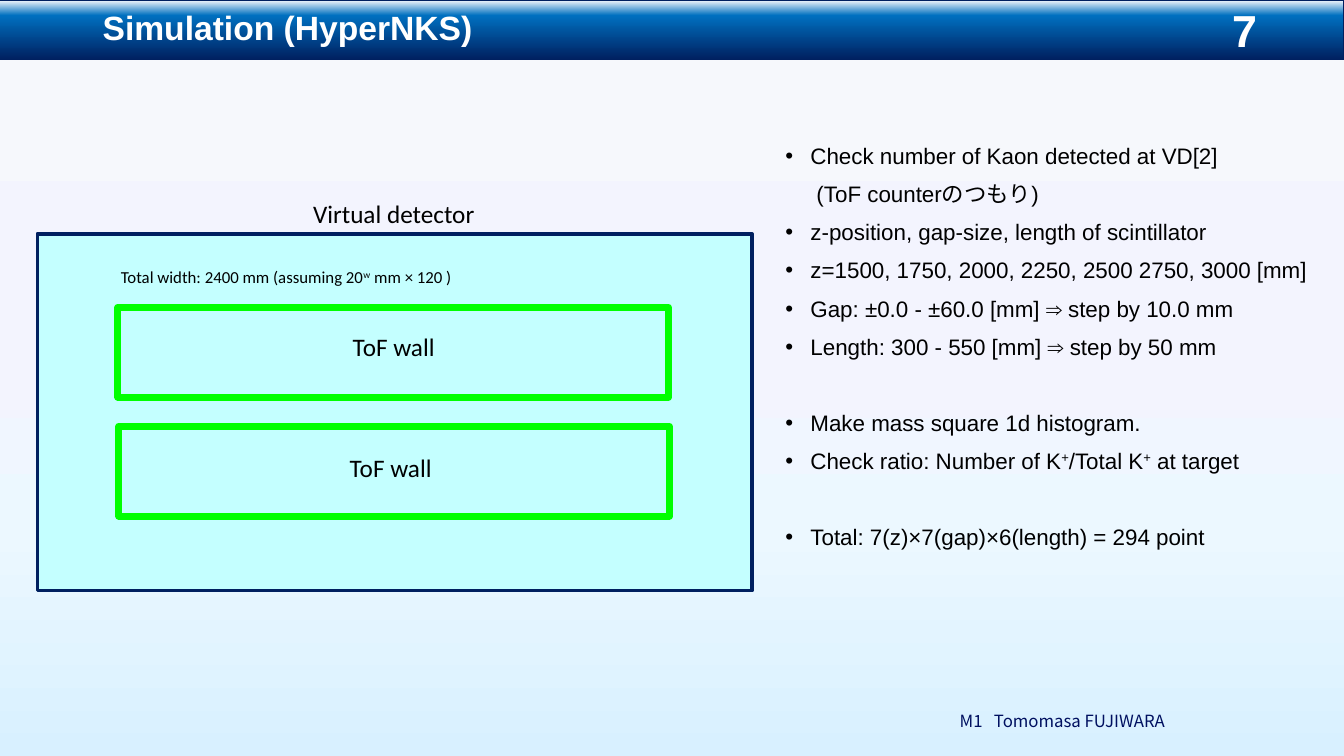
from lxml.etree import SubElement
from pptx import Presentation
from pptx.dml.color import RGBColor
from pptx.enum.shapes import MSO_SHAPE
from pptx.enum.text import MSO_ANCHOR as ANCHOR, PP_ALIGN as ALIGN
from pptx.oxml.ns import qn
from pptx.util import Inches, Pt

WIDTH, HEIGHT, BAR = 13.33, 7.5, 0.59
NAVY = "002060"
SKY = [(0, "F6F8FC"), (48, "F3F4FE"), (70, "ECF8FF"), (100, "D8F0FF")]
BLUES = [(0, "F6F8FC"), (26, "0070C0"), (100, NAVY)]

# Text between carets is superscript.
# Each point: text, bulleted, space before in points
POINTS = [
    ("Check number of Kaon detected at VD[2]", True, 0),
    ("(ToF counterのつもり)", False, 10),
    ("z-position, gap-size, length of scintillator", True, 10),
    ("z=1500, 1750, 2000, 2250, 2500 2750, 3000 [mm]", True, 10),
    ("Gap: ±0.0 - ±60.0 [mm] ⇒ step by 10.0 mm", True, 10),
    ("Length: 300 - 550 [mm] ⇒ step by 50 mm", True, 10),
    ("Make mass square 1d histogram.", True, 37),
    ("Check ratio: Number of K^+^/Total K^+^ at target", True, 10),
    ("Total: 7(z)×7(gap)×6(length) = 294 point", True, 37),
]
# Each box: place, fill, line colour, line width
BOXES = [
    ((0.37, 2.32, 7.09, 3.54), "C4FFFF", NAVY, 2.5),
    ((1.17, 3.05, 5.46, 0.89), None, "00FF00", 5),
    ((1.18, 4.23, 5.46, 0.89), None, "00FF00", 5),
]
# Each label: text, place, size, alignment
LABELS = [
    ("Virtual detector", (2.93, 1.92, 1.95, 0.4), 18, ALIGN.CENTER),
    ("ToF wall", (2.93, 3.24, 1.95, 0.4), 18, ALIGN.CENTER),
    ("Total width: 2400 mm (assuming 20^w^ mm × 120 )",
     (1.1, 2.6, 5.53, 0.3), 12, ALIGN.LEFT),
    ("ToF wall", (2.9, 4.44, 1.95, 0.4), 18, ALIGN.CENTER),
]


def color(code):
    return RGBColor.from_string(code)


def shade(fill, root, stops):
    """Fill from top to bottom through the given stops."""
    fill.gradient()
    fill.gradient_angle = 270
    group = next(root.iter(qn("a:gsLst")))
    for old in list(group):
        group.remove(old)
    for pos, code in stops:
        stop = SubElement(group, qn("a:gs"), pos=str(pos * 1000))
        SubElement(stop, qn("a:srgbClr"), val=code)


def add_rect(place, line, width):
    rect = slide.shapes.add_shape(MSO_SHAPE.RECTANGLE, *map(Inches, place))
    rect.shadow.inherit = False
    rect.line.color.rgb = color(line)
    rect.line.width = Pt(width)
    return rect


def add_frame(place, anchor=ANCHOR.TOP):
    frame = slide.shapes.add_textbox(*map(Inches, place)).text_frame
    frame.word_wrap = True
    frame.vertical_anchor = anchor
    return frame


def write(para, text, size, face="Arial", code="000000", bold=False):
    for i, part in enumerate(text.split("^")):
        run = para.add_run()
        run.text = part
        font = run.font
        font.size, font.name, font.bold = Pt(size), face, bold
        font.color.rgb = color(code)
        if i % 2:
            run._r.get_or_add_rPr().set("baseline", "30000")


def indent(para, left, first=0):
    props = para._p.get_or_add_pPr()
    props.set("marL", str(Inches(left)))
    props.set("indent", str(Inches(first)))
    return props


deck = Presentation()
deck.slide_width, deck.slide_height = Inches(WIDTH), Inches(HEIGHT)
slide = deck.slides.add_slide(deck.slide_layouts[6])
shade(slide.background.fill, slide.element, SKY)

para = add_frame((9.42, 6.95, 3, 0.4), ANCHOR.MIDDLE).paragraphs[0]
tabs = SubElement(para._p.get_or_add_pPr(), qn("a:tabLst"))
SubElement(tabs, qn("a:tab"), pos=str(Inches(0.34)), algn="l")
write(para, "M1\tTomomasa FUJIWARA", 12, "Noto Sans CJK JP", "001060")

bar = add_rect((0, 0, WIDTH, BAR), NAVY, 0.75)
shade(bar.fill, bar.element, BLUES)
para = add_frame((11.36, 0, 1.97, BAR), ANCHOR.MIDDLE).paragraphs[0]
para.alignment = ALIGN.CENTER
write(para, "7", 32, code="FFFFFF", bold=True)
para = add_frame((0.92, 0, 11.5, BAR), ANCHOR.MIDDLE).paragraphs[0]
para.line_spacing = 0.9
write(para, "Simulation (HyperNKS)", 24, code="FFFFFF", bold=True)

frame = add_frame((7.69, 1.39, 5.56, 5.43))
for i, (text, dot, gap) in enumerate(POINTS):
    para = frame.add_paragraph() if i else frame.paragraphs[0]
    para.line_spacing = 0.9
    para.space_before = Pt(gap)
    if dot:
        props = indent(para, 0.25, -0.25)
        SubElement(props, qn("a:buFont"), typeface="Arial")
        SubElement(props, qn("a:buChar"), char="•")
    else:
        indent(para, 0.31)
    write(para, text, 16)

for place, fill, line, width in BOXES:
    rect = add_rect(place, line, width)
    if fill:
        rect.fill.solid()
        rect.fill.fore_color.rgb = color(fill)
    else:
        rect.fill.background()

for text, place, size, align in LABELS:
    para = add_frame(place).paragraphs[0]
    para.alignment = align
    write(para, text, size, "Calibri")

deck.save("out.pptx")
